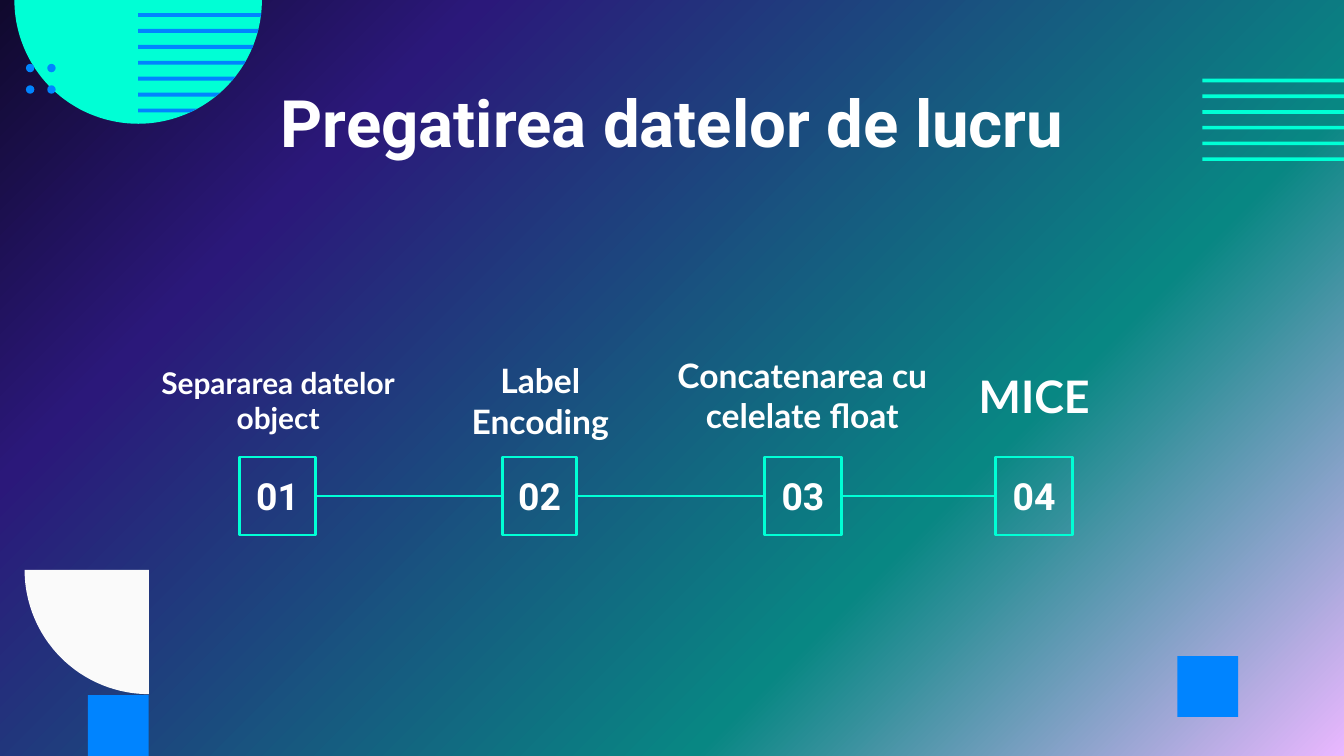
from dataclasses import dataclass
from itertools import pairwise, product
from math import cos, radians, sin, sqrt

from lxml import etree
from pptx import Presentation
from pptx.dml.color import RGBColor
from pptx.enum.shapes import MSO_CONNECTOR, MSO_SHAPE
from pptx.enum.text import MSO_ANCHOR, PP_ALIGN
from pptx.oxml.ns import qn
from pptx.shapes.autoshape import Shape
from pptx.slide import Slide
from pptx.util import Pt

RECTANGLE, OVAL = MSO_SHAPE.RECTANGLE, MSO_SHAPE.OVAL
STRAIGHT = MSO_CONNECTOR.STRAIGHT
TOP, MIDDLE = MSO_ANCHOR.TOP, MSO_ANCHOR.MIDDLE
CENTER = PP_ALIGN.CENTER
LEFT_SIDE, RIGHT_SIDE = 1, 3

COLORS = {
    "aqua": "00FFD5",
    "blue": "0084FF",
    "paper": "FAFAFA",
    "text": "FFFFFF",
}
GRADIENT = {0: "10092D", 23: "2B187A", 69: "088783", 100: "EAB7FF"}


@dataclass(frozen=True)
class Box:
    left: float
    top: float
    width: float
    height: float


@dataclass(frozen=True)
class Step:
    number: str
    lines: tuple[str, ...]
    size: int
    badge: Box
    caption: Box


STEPS = (
    Step("01", ("Separarea datelor", "object"), 16,
         Box(128.2, 244.8, 41, 41.8), Box(56.9, 187.9, 184.3, 56.2)),
    Step("02", ("Label", "Encoding"), 18,
         Box(269.3, 244.8, 39.6, 41.8), Box(197.3, 185.8, 184.3, 56.2)),
    Step("03", ("Concatenarea cu", "celelate float"), 18,
         Box(409.7, 244.8, 41, 41.8), Box(337.7, 182.9, 184.3, 56.2)),
    Step("04", ("MICE",), 24,
         Box(533.5, 244.8, 41, 41.8), Box(514.1, 190.1, 79.9, 25.9)),
)


def rgb(name: str) -> RGBColor:
    return RGBColor.from_string(COLORS[name])


def paint_background(slide: Slide) -> None:
    fill = slide.background.fill
    fill.gradient()
    fill.gradient_angle = 315
    stops = next(slide.element.iter(qn("a:gsLst")))
    for stop in list(stops):
        stops.remove(stop)
    for position, color in GRADIENT.items():
        stop = etree.SubElement(stops, qn("a:gs"), pos=str(position * 1000))
        etree.SubElement(stop, qn("a:srgbClr"), val=color)


def paint(shape: Shape, color: str) -> None:
    shape.shadow.inherit = False
    shape.fill.solid()
    shape.fill.fore_color.rgb = rgb(color)
    shape.line.fill.background()


def add_solid(slide: Slide, kind: MSO_SHAPE, box: Box, color: str) -> None:
    paint(slide.shapes.add_shape(
        kind, Pt(box.left), Pt(box.top), Pt(box.width), Pt(box.height)), color)


def add_polygon(slide: Slide, points: list[tuple[float, float]], color: str) -> None:
    vertices = [(Pt(x), Pt(y)) for x, y in points]
    builder = slide.shapes.build_freeform(*vertices[0])
    builder.add_line_segments(vertices[1:], close=True)
    paint(builder.convert_to_shape(), color)


def add_quarter(slide: Slide, x: float, y: float, radius: float,
                start: int, color: str) -> None:
    arc = [(x + radius * cos(radians(angle)), y + radius * sin(radians(angle)))
           for angle in range(start, start + 91, 2)]
    add_polygon(slide, [(x, y), *arc], color)


def write(shape: Shape, lines: tuple[str, ...], face: str, size: int,
          anchor: MSO_ANCHOR) -> None:
    frame = shape.text_frame
    frame_format = {"word_wrap": True, "vertical_anchor": anchor}
    frame_format |= {f"margin_{side}": Pt(7.2)
                     for side in ("left", "right", "top", "bottom")}
    for name, value in frame_format.items():
        setattr(frame, name, value)
    frame.text = "\n".join(lines)
    for paragraph in frame.paragraphs:
        paragraph.alignment = CENTER
        for name, value in {"name": face, "size": Pt(size), "bold": True}.items():
            setattr(paragraph.font, name, value)
        paragraph.font.color.rgb = rgb("text")


def add_label(slide: Slide, box: Box, lines: tuple[str, ...], face: str,
              size: int, anchor: MSO_ANCHOR) -> None:
    label = slide.shapes.add_textbox(
        Pt(box.left), Pt(box.top), Pt(box.width), Pt(box.height))
    write(label, lines, face, size, anchor)


def add_badge(slide: Slide, step: Step) -> Shape:
    box = step.badge
    badge = slide.shapes.add_shape(
        RECTANGLE, Pt(box.left), Pt(box.top), Pt(box.width), Pt(box.height))
    badge.shadow.inherit = False
    badge.fill.background()
    badge.line.color.rgb = rgb("aqua")
    badge.line.width = Pt(1.5)
    write(badge, (step.number,), "Roboto", 20, MIDDLE)
    return badge


def join(slide: Slide, before: Shape, after: Shape) -> None:
    link = slide.shapes.add_connector(STRAIGHT, 0, 0, 0, 0)
    link.begin_connect(before, RIGHT_SIDE)
    link.end_connect(after, LEFT_SIDE)
    link.line.color.rgb = rgb("aqua")
    link.line.width = Pt(1.5)
    etree.SubElement(link.element.spPr, qn("a:effectLst"))


def add_decorations(slide: Slide) -> None:
    for left, top in ((630.7, 351.5), (47.1, 372.4)):
        add_solid(slide, RECTANGLE, Box(left, top, 32.6, 32.6), "blue")
    add_quarter(slide, 79.8, 305.3, 66.6, 90, "paper")
    for row in range(6):
        add_solid(slide, RECTANGLE, Box(644.2, 42.1 + 8.43 * row, 184.3, 2), "aqua")

    center, radius = 74, 66.3
    for start in (0, 90):
        add_quarter(slide, center, 0, radius, start, "aqua")
    for row in range(7):
        top = 7 + 8.53 * row
        bottom = top + 2.1
        ends = [(center + sqrt(radius ** 2 - y ** 2), y) for y in (top, bottom)]
        add_polygon(slide, [(center, top), *ends, (center, bottom)], "blue")
    for left, top in product((13.9, 25.3), (34.2, 45.7)):
        add_solid(slide, OVAL, Box(left, top, 4.5, 4.5), "blue")


def main() -> None:
    deck = Presentation()
    deck.slide_width, deck.slide_height = Pt(720), Pt(405)
    slide = deck.slides.add_slide(deck.slide_layouts[6])
    paint_background(slide)
    add_decorations(slide)
    add_label(slide, Box(56.9, 42.5, 607, 45.4),
              ("Pregatirea datelor de lucru",), "Roboto", 35, MIDDLE)
    badges = [add_badge(slide, step) for step in STEPS]
    for before, after in pairwise(badges):
        join(slide, before, after)
    for step in STEPS:
        add_label(slide, step.caption, step.lines, "Lato", step.size, TOP)
    deck.save("out.pptx")


if __name__ == "__main__":
    main()
